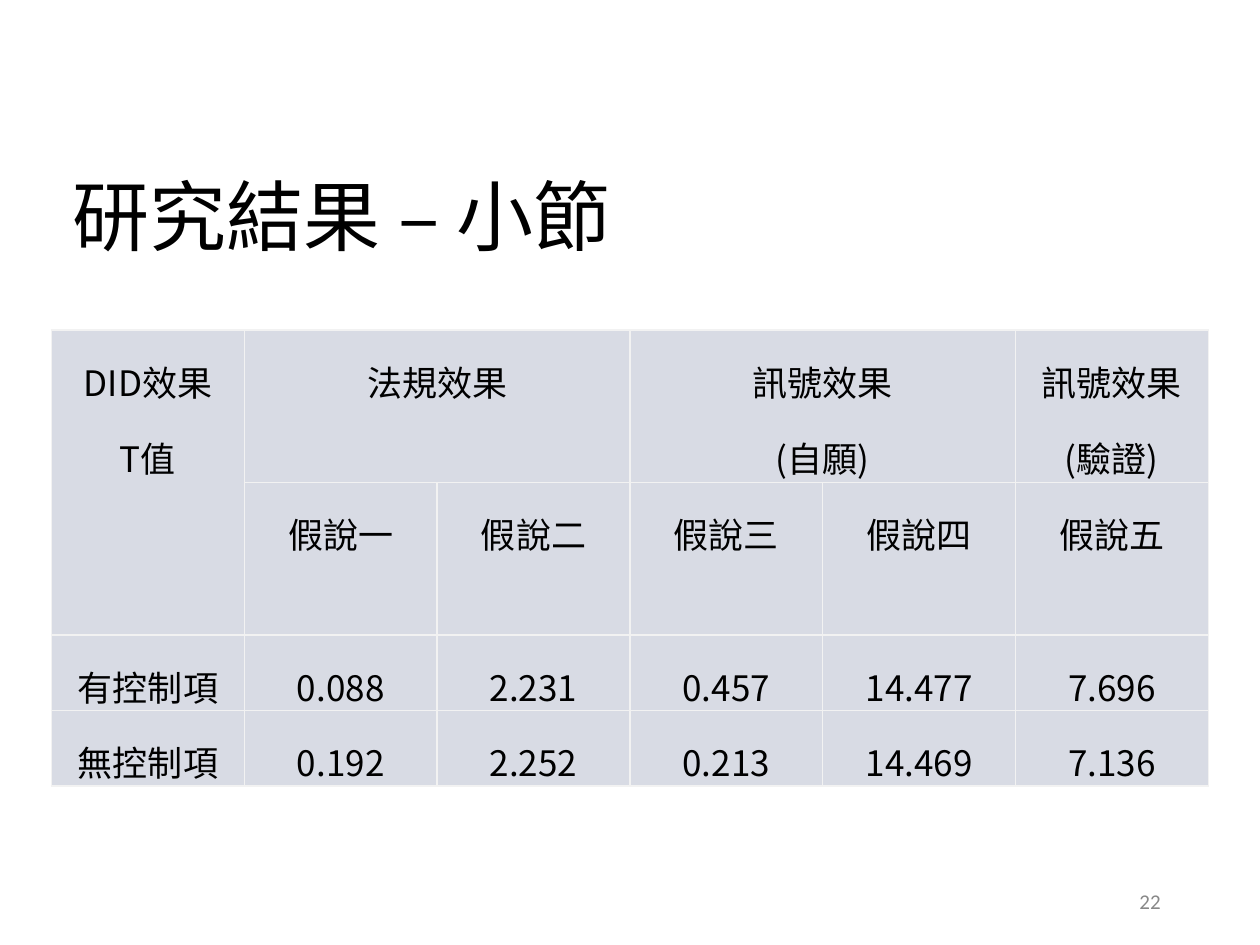
from pptx import Presentation
from pptx.dml.color import RGBColor
from pptx.enum.text import MSO_ANCHOR as Anchor, PP_ALIGN as Align
from pptx.oxml import parse_xml
from pptx.oxml.ns import nsdecls
from pptx.util import Inches, Pt

COLORS = {"text": "000000", "number": "888888", "cell": "D8DBE4", "border": "F2F2F2"}
TITLE = "研究結果 – 小節"
PAGE_NUMBER = "22"
ROWS = [
    ["DID效果\nT值", "法規效果", "", "訊號效果\n(自願)", "", "訊號效果\n(驗證)"],
    ["", "假說一", "假說二", "假說三", "假說四", "假說五"],
    ["有控制項", "0.088", "2.231", "0.457", "14.477", "7.696"],
    ["無控制項", "0.192", "2.252", "0.213", "14.469", "7.136"],
]
MERGES = [((0, 0), (1, 0)), ((0, 1), (0, 2)), ((0, 3), (0, 4))]
ROW_HEIGHTS = [1.21, 1.21, 0.6, 0.6]
COLUMN_WIDTH = 1.53


def write(frame, text, size, font, color=COLORS["text"], align=Align.LEFT, spacing=1.0):
    """Fill a text frame, one paragraph for each line of text."""
    frame.word_wrap = True
    for index, line in enumerate(text.split("\n")):
        paragraph = frame.paragraphs[0] if index == 0 else frame.add_paragraph()
        paragraph.alignment = align
        paragraph.line_spacing = spacing
        run = paragraph.add_run()
        run.text = line
        run.font.size = Pt(size)
        run.font.name = font
        run.font.color.rgb = RGBColor.from_string(color)
        run.font._element.append(parse_xml(f'<a:ea {nsdecls("a")} typeface="{font}"/>'))


def add_text(slide, box, text, **style):
    frame = slide.shapes.add_textbox(*map(Inches, box)).text_frame
    frame.vertical_anchor = Anchor.MIDDLE
    write(frame, text, **style)


def style_cell(cell):
    cell.margin_left = cell.margin_right = Inches(0.07)
    cell.margin_top = cell.margin_bottom = 0
    properties = cell._tc.get_or_add_tcPr()
    for side in ("lnL", "lnR", "lnT", "lnB"):
        properties.append(parse_xml(
            f'<a:{side} {nsdecls("a")} w="{Pt(1)}"><a:solidFill>'
            f'<a:srgbClr val="{COLORS["border"]}"/></a:solidFill></a:{side}>'))
    cell.fill.solid()
    cell.fill.fore_color.rgb = RGBColor.from_string(COLORS["cell"])


def add_results(slide):
    columns = len(ROWS[0])
    box = (0.41, 2.62, COLUMN_WIDTH * columns, sum(ROW_HEIGHTS))
    table = slide.shapes.add_table(len(ROWS), columns, *map(Inches, box)).table
    for column in table.columns:
        column.width = Inches(COLUMN_WIDTH)
    for row, height in zip(table.rows, ROW_HEIGHTS):
        row.height = Inches(height)
    for first, last in MERGES:
        table.cell(*first).merge(table.cell(*last))
    for r, values in enumerate(ROWS):
        for c, value in enumerate(values):
            cell = table.cell(r, c)
            style_cell(cell)
            if value:
                write(cell.text_frame, value, size=20, font="Noto Sans CJK SC",
                      align=Align.CENTER, spacing=1.5)


def main():
    deck = Presentation()
    deck.slide_width, deck.slide_height = Inches(10), Inches(7.5)
    slide = deck.slides.add_slide(deck.slide_layouts[6])
    add_text(slide, (0.48, 1.14, 7.63, 1.22), TITLE,
             size=44, font="Noto Sans CJK TC", spacing=0.9)
    add_results(slide)
    add_text(slide, (7.06, 6.95, 2.25, 0.4), PAGE_NUMBER,
             size=12, font="Calibri", color=COLORS["number"], align=Align.RIGHT)
    deck.save("out.pptx")


if __name__ == "__main__":
    main()
